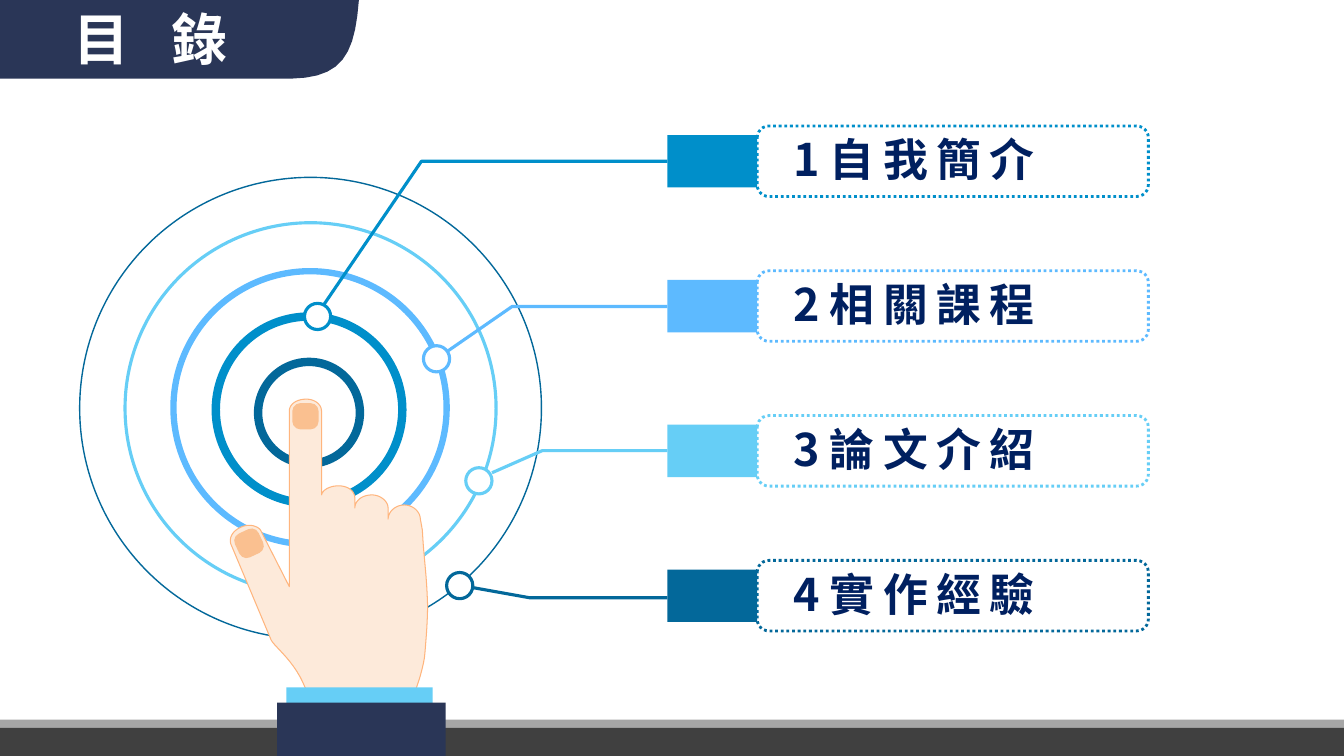
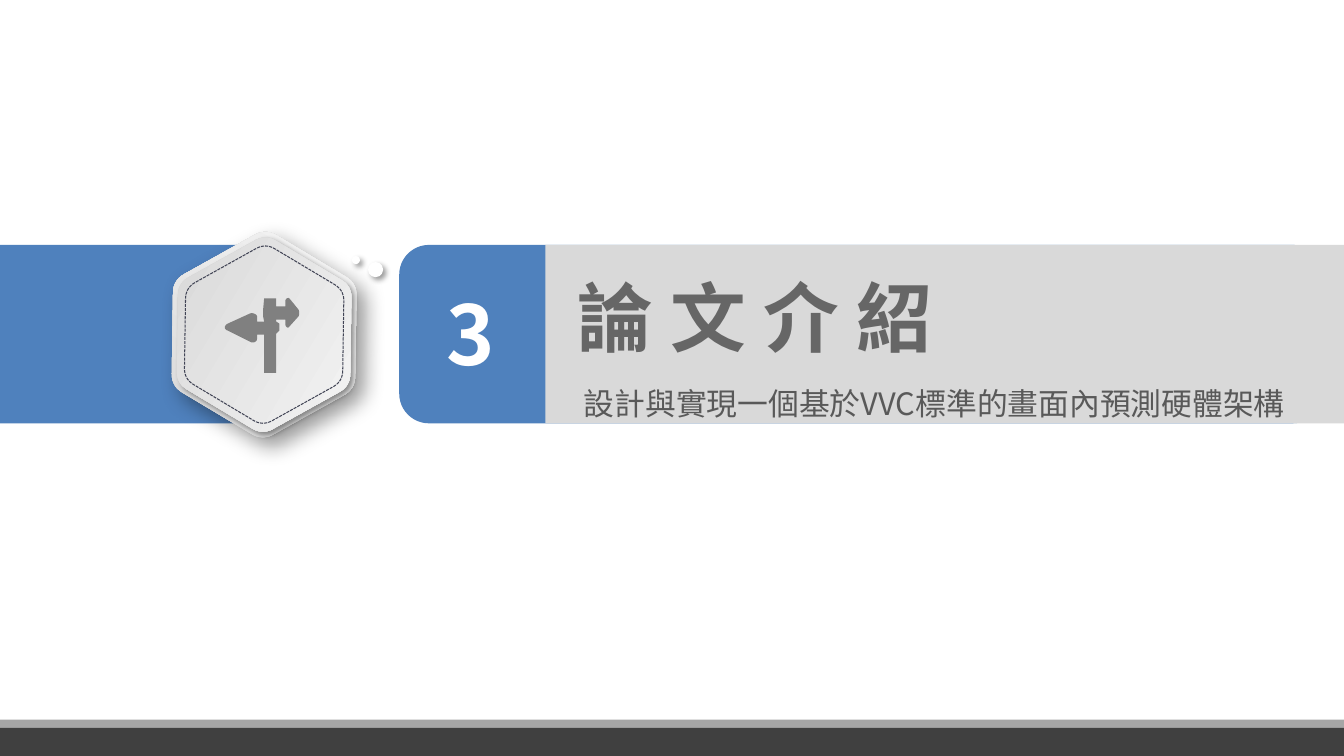
from math import cos, radians, sin, sqrt

from lxml.etree import SubElement
from pptx import Presentation
from pptx.dml.color import RGBColor
from pptx.enum.dml import MSO_LINE
from pptx.enum.shapes import MSO_SHAPE as PRESET
from pptx.enum.text import MSO_ANCHOR, MSO_AUTO_SIZE, PP_ALIGN
from pptx.oxml.ns import qn
from pptx.util import Inches, Pt

FONT = "Noto Sans CJK SC"
WHITE = RGBColor(0xFF, 0xFF, 0xFF)
BLACK = RGBColor(0x00, 0x00, 0x00)
NAVY = RGBColor(0x2A, 0x36, 0x57)
LABEL_NAVY = RGBColor(0x00, 0x20, 0x60)
BLUE = RGBColor(0x00, 0x8F, 0xCA)
LIGHT_BLUE = RGBColor(0x5D, 0xBA, 0xFF)
CYAN = RGBColor(0x66, 0xCE, 0xF6)
DARK_BLUE = RGBColor(0x03, 0x68, 0x9A)
SECTION_BLUE = RGBColor(0x4F, 0x81, 0xBD)
SKIN = RGBColor(0xFD, 0xEA, 0xDA)
SKIN_EDGE = RGBColor(0xFF, 0xB5, 0x7D)
NAIL = RGBColor(0xFA, 0xC0, 0x90)
BAND_GRAY = RGBColor(0xA6, 0xA6, 0xA6)
BAND_DARK = RGBColor(0x40, 0x40, 0x40)
PANEL_GRAY = RGBColor(0xD9, 0xD9, 0xD9)
METAL_DARK = RGBColor(0xD3, 0xD3, 0xD3)
METAL_LIGHT = RGBColor(0xF9, 0xF9, 0xF9)
STITCH = RGBColor(0x41, 0x44, 0x55)
SIGN_GRAY = RGBColor(0x80, 0x80, 0x80)
TITLE_GRAY = RGBColor(0x66, 0x66, 0x66)
SUBTITLE_GRAY = RGBColor(0x59, 0x59, 0x59)


def add_figure(slide, geometry, fill=None, line=None, width=1, dash=None,
               preset=None, close=True):
    """Draw a preset in a box, or an outline of points and cubic curves."""
    if preset is not None:
        shape = slide.shapes.add_shape(preset, *[Inches(v) for v in geometry])
    else:
        points = [tuple(geometry[0])]
        for step in geometry[1:]:
            if len(step) == 2:
                points.append(tuple(step))
                continue
            x, y = points[-1]
            x1, y1, x2, y2, x3, y3 = step
            for t in [i / 10 for i in range(1, 11)]:
                a, b, c, d = (1 - t) ** 3, 3 * t * (1 - t) ** 2, 3 * t * t * (1 - t), t ** 3
                points.append((a * x + b * x1 + c * x2 + d * x3,
                               a * y + b * y1 + c * y2 + d * y3))
        points = [(Inches(x), Inches(y)) for x, y in points]
        builder = slide.shapes.build_freeform(*points[0], scale=1.0)
        builder.add_line_segments(points[1:], close=close)
        shape = builder.convert_to_shape()
    shape.shadow.inherit = False
    if fill is None:
        shape.fill.background()
    else:
        shape.fill.solid()
        shape.fill.fore_color.rgb = fill
    if line is None:
        shape.line.fill.background()
    else:
        shape.line.color.rgb = line
        shape.line.width = Pt(width)
        if dash is not None:
            shape.line.dash_style = dash
    return shape


def add_run(paragraph, text, size, color, bold=True, spacing=0):
    run = paragraph.add_run()
    run.text = text
    run.font.size = Pt(size)
    run.font.bold = bold
    run.font.color.rgb = color
    run.font.name = FONT
    properties = run._r.get_or_add_rPr()
    SubElement(properties, qn("a:ea")).set("typeface", FONT)
    if spacing:
        properties.set("spc", str(int(spacing * 100)))


presentation = Presentation()
presentation.slide_width = Inches(13.33)
presentation.slide_height = Inches(7.5)
contents = presentation.slides.add_slide(presentation.slide_layouts[5])
section = presentation.slides.add_slide(presentation.slide_layouts[2])

# Bottom bands, shared through the slide master
master_shapes = presentation.slide_master.shapes.element
for shape_id, top, color in ((101, 7.14, BAND_GRAY), (102, 7.22, BAND_DARK)):
    band = add_figure(contents, (0, top, 13.33, 7.5 - top), color, preset=PRESET.RECTANGLE)
    band.element.nvSpPr.cNvPr.set("id", str(shape_id))
    master_shapes.append(band.element)

# Contents: target rings
for left, top, size, color, width in (
    (0.79, 1.76, 4.58, DARK_BLUE, 1),
    (1.24, 2.21, 3.68, CYAN, 2.25),
    (1.72, 2.69, 2.71, LIGHT_BLUE, 4.5),
    (2.14, 3.14, 1.85, BLUE, 6),
    (2.56, 3.59, 1.01, DARK_BLUE, 6),
):
    add_figure(contents, (left, top, size, size), line=color, width=width,
               preset=PRESET.OVAL)

# Contents: title tab
add_figure(contents, [(0, 0), (3.56, 0), (3.52, 0.55, 3.39, 0.77, 2.89, 0.78), (0, 0.78)],
           NAVY)

# Contents: four entries, each with a node on a ring and a leader line
entries = (
    ("自我簡介", BLUE, (3.02, 3.01), (3.2, 3.04), (4.18, 1.6)),
    ("相關課程", LIGHT_BLUE, (4.2, 3.43), (4.43, 3.49), (5.08, 3.04)),
    ("論文介紹", CYAN, (4.62, 4.64), (4.88, 4.69), (5.38, 4.47)),
    ("實作經驗", DARK_BLUE, (4.43, 5.68), (4.69, 5.83), (5.25, 5.93)),
)
row_step = (5.65 - 1.34) / 3
for index, (label, color, node, start, elbow) in enumerate(entries):
    top = 1.34 + index * row_step
    add_figure(contents, (6.62, top, 0.89, 0.52), color, preset=PRESET.RECTANGLE)
    add_figure(contents, (7.51, top - 0.09, 3.88, 0.7), line=color, width=2,
               dash=MSO_LINE.ROUND_DOT, preset=PRESET.ROUNDED_RECTANGLE)
    text_box = contents.shapes.add_textbox(Inches(7.77), Inches(top - 0.08),
                                           Inches(2.74), Inches(0.64))
    text_box.text_frame.word_wrap = False
    paragraph = text_box.text_frame.paragraphs[0]
    add_run(paragraph, f"{index + 1} ", 32, LABEL_NAVY)
    add_run(paragraph, label, 32, LABEL_NAVY, spacing=6)
    add_figure(contents, [start, elbow, (6.62, elbow[1])], line=color, width=2.25,
               close=False)
    add_figure(contents, (*node, 0.26, 0.26), WHITE, color, 2.25, preset=PRESET.OVAL)

# Contents: pointing hand
hand = [
    (4.19, 5.26), (4.17, 5.15),
    (4.17, 5.08, 4.1, 5.01, 4.01, 5.01), (3.92, 5.01, 3.85, 5.08, 3.85, 5.15),
    (3.85, 5.04),
    (3.85, 4.97, 3.77, 4.91, 3.69, 4.91), (3.59, 4.91, 3.52, 4.97, 3.52, 5.04),
    (3.52, 4.94),
    (3.52, 4.87, 3.45, 4.82, 3.36, 4.82), (3.27, 4.82, 3.2, 4.86, 3.19, 4.91),
    (3.19, 4.08),
    (3.19, 4.01, 3.12, 3.96, 3.04, 3.96), (2.94, 3.96, 2.87, 4.01, 2.87, 4.08),
    (2.87, 5.82), (2.59, 5.27),
    (2.57, 5.22, 2.47, 5.19, 2.39, 5.23), (2.3, 5.27, 2.26, 5.35, 2.3, 5.42),
    (2.69, 6.35),
    (2.73, 6.42, 2.87, 6.52, 2.98, 6.72), (3.04, 6.84, 3.06, 6.91, 3.06, 6.91),
    (3.06, 6.91, 3.27, 7.01, 4.1, 6.9), (4.1, 6.9, 4.17, 6.75, 4.21, 6.53),
    (4.21, 6.53, 4.25, 6.13, 4.24, 5.95), (4.23, 5.68, 4.2, 5.49, 4.19, 5.26),
]
add_figure(contents, hand, SKIN, SKIN_EDGE, 0.75)
for left, top, angle in ((2.9, 4, 0), (2.34, 5.26, -25)):
    nail = add_figure(contents, (left, top, 0.26, 0.26), NAIL,
                      preset=PRESET.ROUNDED_RECTANGLE)
    nail.adjustments[0] = 0.3
    nail.rotation = angle
for box, color in (((2.84, 6.82, 1.45, 0.34), CYAN), ((2.75, 6.97, 1.67, 0.53), NAVY)):
    add_figure(contents, box, color, preset=PRESET.RECTANGLE)

# Section: banner
for preset, box, color in (
    (PRESET.RECTANGLE, (0, 2.43, 2.7, 1.77), SECTION_BLUE),
    (PRESET.ROUNDED_RECTANGLE, (3.96, 2.43, 9.16, 1.77), SECTION_BLUE),
    (PRESET.RECTANGLE, (5.41, 2.43, 7.92, 1.77), PANEL_GRAY),
):
    add_figure(section, box, color, preset=preset)
number_box = section.shapes.add_textbox(Inches(4.11), Inches(2.76), Inches(1.12), Inches(1.09))
number_box.text_frame.word_wrap = True
paragraph = number_box.text_frame.paragraphs[0]
paragraph.alignment = PP_ALIGN.CENTER
add_run(paragraph, "3", 58.7, WHITE)

# Section: layered hexagon badge with rounded corners
shadowed = []
for height, gradient_angle, blur, distance in (
    (1.82, 90, 15, 9), (1.72, 0, 4, 3), (1.57, None, 0, 0),
):
    radius = height / sqrt(3)
    vertices = [(2.62 + radius * cos(radians(60 * k)), 3.32 + radius * sin(radians(60 * k)))
                for k in range(6)]
    outline = []
    for k, corner in enumerate(vertices):
        bend = []
        for neighbour, share in ((k - 1, 0.12), (k - 1, 0.04), (k + 1, 0.04), (k + 1, 0.12)):
            side = vertices[neighbour % 6]
            bend += [c + (s - c) * share for c, s in zip(corner, side)]
        outline += [bend[:2], bend[2:]]
    if gradient_angle is None:
        hexagon = add_figure(section, outline, line=STITCH, width=0.75,
                             dash=MSO_LINE.SQUARE_DOT)
    else:
        hexagon = add_figure(section, outline, METAL_LIGHT)
        hexagon.fill.gradient()
        hexagon.fill.gradient_angle = gradient_angle
        for stop, color in zip(hexagon.fill.gradient_stops, (METAL_DARK, METAL_LIGHT)):
            stop.color.rgb = color
        shadowed.append((hexagon, blur, distance))
    hexagon.rotation = 30.9

# Section: small dots beside the badge
for left, top, size in ((3.49, 2.54, 0.08), (3.65, 2.6, 0.15)):
    dot = add_figure(section, (left, top, size, size), WHITE, preset=PRESET.OVAL)
    shadowed.append((dot, 4, 3))

for shape, blur, distance in shadowed:
    effects = shape.element.spPr.find(qn("a:effectLst"))
    shadow = SubElement(effects, qn("a:outerShdw"), blurRad=str(Pt(blur)),
                        dist=str(Pt(distance)), dir="2700000", algn="tl", rotWithShape="0")
    shadow_color = SubElement(shadow, qn("a:srgbClr"), val=str(BLACK))
    SubElement(shadow_color, qn("a:alpha"), val="40000")

# Section: signpost icon
signpost = [
    (2.62, 2.96), (2.74, 2.96), (2.74, 3.04), (2.83, 3.04), (2.83, 2.99),
    (2.83, 2.96, 2.86, 2.95, 2.87, 2.96), (2.96, 3.07),
    (2.97, 3.08, 2.97, 3.13, 2.96, 3.14), (2.87, 3.24),
    (2.86, 3.26, 2.83, 3.25, 2.83, 3.21), (2.83, 3.17), (2.74, 3.17), (2.74, 3.19),
    (2.77, 3.21), (2.77, 3.28), (2.74, 3.31), (2.74, 3.7), (2.62, 3.7), (2.62, 3.32),
    (2.55, 3.32), (2.55, 3.36), (2.55, 3.39, 2.51, 3.41, 2.48, 3.39), (2.26, 3.28),
    (2.22, 3.27, 2.22, 3.23, 2.26, 3.21), (2.48, 3.11),
    (2.51, 3.1, 2.55, 3.12, 2.55, 3.14), (2.55, 3.19), (2.62, 3.19), (2.61, 3.14),
    (2.61, 3.07),
]
add_figure(section, signpost, SIGN_GRAY)

# Titles and subtitle, in the placeholders and above the artwork
for slide, placeholder, box, insets, anchor, line_spacing, runs in (
    (contents, contents.shapes.title, (0.35, 0, 2.43, 0.75), (0.38, 0.05),
     MSO_ANCHOR.MIDDLE, None, (("目 ", 40, WHITE, True, 10.5), ("錄", 40, WHITE, True, 4))),
    (section, section.shapes.title, (5.66, 2.88, 7.67, 0.76), (0.07, 0.04),
     MSO_ANCHOR.TOP, Pt(48), (("論 文 介 紹", 54, TITLE_GRAY),)),
    (section, section.placeholders[1], (5.69, 3.58, 7.4, 0.6), (0.1, 0.05),
     MSO_ANCHOR.TOP, Pt(40),
     (("設計與實現一個基於VVC標準的畫面內預測硬體架構", 22, SUBTITLE_GRAY, False),)),
):
    slide.shapes.element.append(placeholder.element)
    placeholder.left, placeholder.top, placeholder.width, placeholder.height = [
        Inches(value) for value in box]
    frame = placeholder.text_frame
    frame.auto_size = MSO_AUTO_SIZE.NONE
    frame.word_wrap = True
    frame.vertical_anchor = anchor
    frame.margin_left, frame.margin_right = Inches(insets[0]), Inches(0.07)
    frame.margin_top = frame.margin_bottom = Inches(insets[1])
    paragraph = frame.paragraphs[0]
    paragraph.alignment = PP_ALIGN.LEFT
    paragraph.space_before = Pt(0)
    if line_spacing is not None:
        paragraph.line_spacing = line_spacing
    for run in runs:
        add_run(paragraph, *run)

presentation.save("out.pptx")
